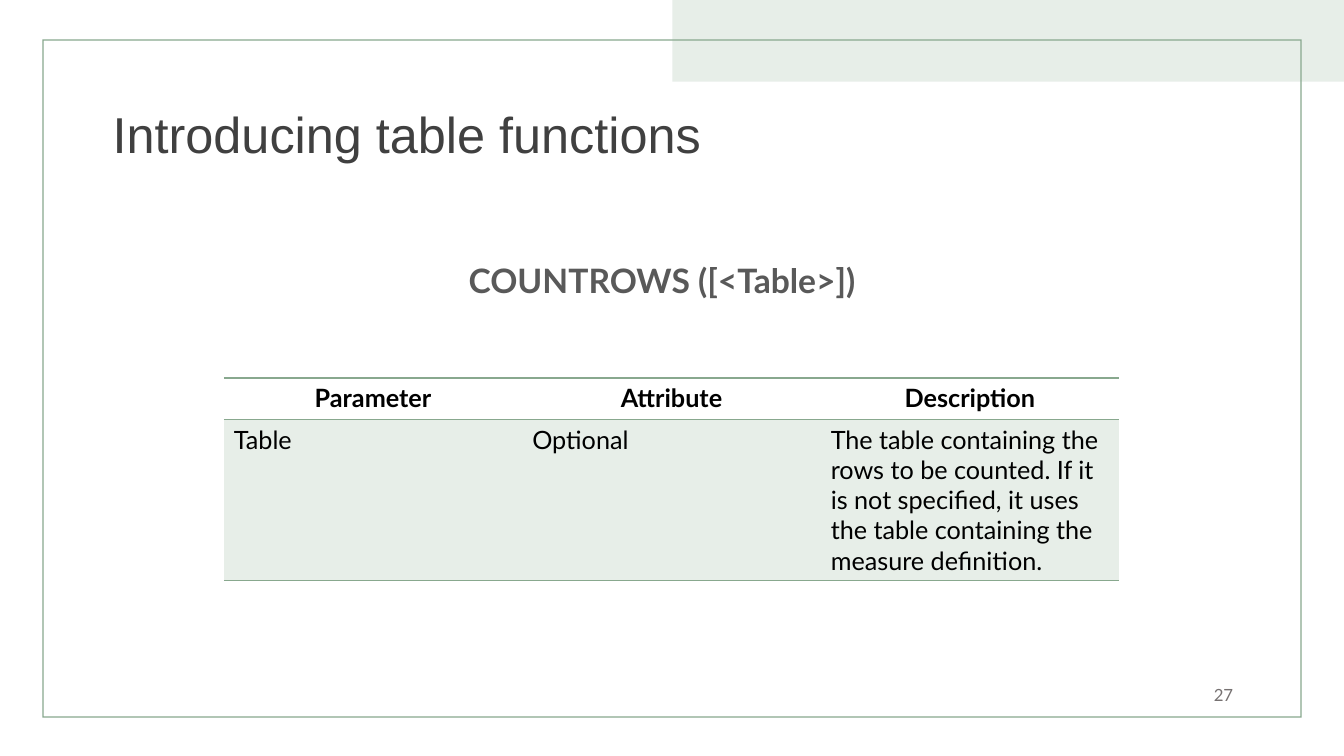
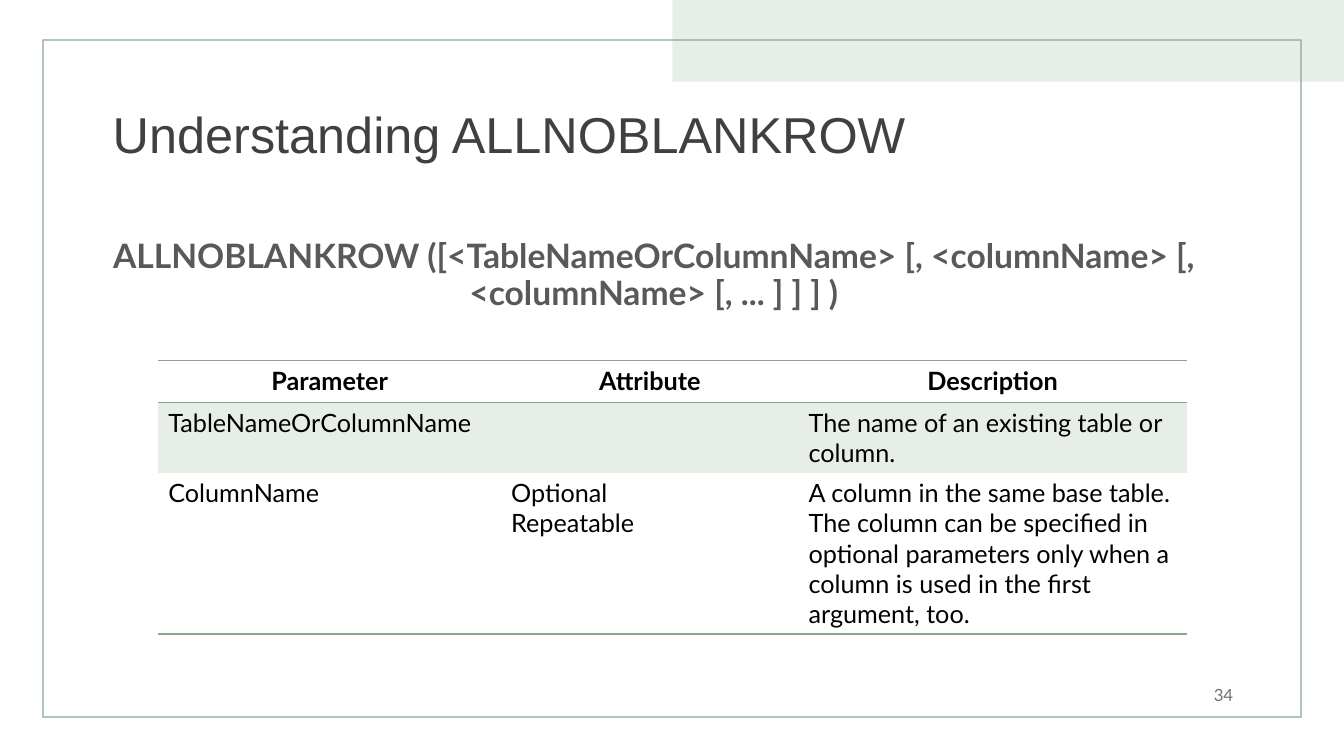
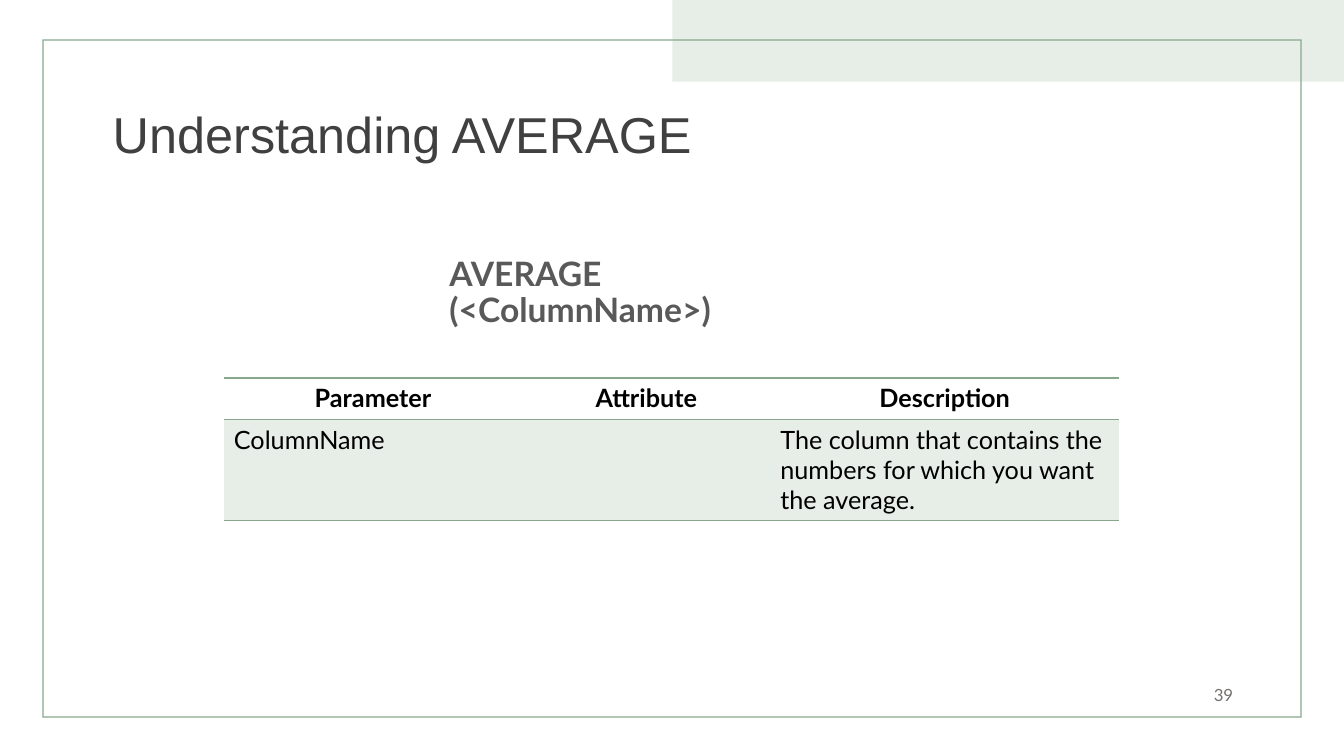
"""Build three slides that introduce DAX functions and their parameters."""

from dataclasses import dataclass

import lxml.etree
import pptx
import pptx.dml.color
import pptx.enum.shapes
import pptx.enum.text
import pptx.oxml.ns
import pptx.presentation
import pptx.shapes.autoshape
import pptx.slide
import pptx.table
import pptx.text.text
import pptx.util

Inches = pptx.util.Inches
RGBColor = pptx.dml.color.RGBColor
Align = pptx.enum.text.PP_ALIGN
Anchor = pptx.enum.text.MSO_ANCHOR
Preset = pptx.enum.shapes.MSO_SHAPE

GREEN = RGBColor(0x88, 0xA8, 0x8E)
PALE_GREEN = RGBColor(0xE7, 0xEE, 0xE8)
TITLE_GREY = RGBColor(0x40, 0x40, 0x40)
SYNTAX_GREY = RGBColor(0x59, 0x59, 0x59)
NUMBER_GREY = RGBColor(0x76, 0x71, 0x71)
BLACK = RGBColor(0, 0, 0)

HEADING_FONT = "Arial"
BODY_FONT = "Lato"
PLAIN_TABLE_STYLE = "{2D5ABB26-0587-4C30-8999-92F81FD0307C}"
HEADER = ("Parameter", "Attribute", "Description")
HEADER_HEIGHT = 0.41


@dataclass(frozen=True)
class Box:
    left: float
    top: float
    width: float
    height: float

    def lengths(self) -> tuple[pptx.util.Length, ...]:
        return tuple(Inches(value) for value in (self.left, self.top, self.width, self.height))


@dataclass(frozen=True)
class Parameter:
    name: str
    attribute: str
    description: str
    height: float


@dataclass(frozen=True)
class FunctionSlide:
    title: str
    number: int
    syntax: str
    syntax_box: Box
    syntax_align: Align
    table_left: float
    table_top: float
    column_widths: tuple[float, ...]
    parameters: tuple[Parameter, ...]


TOP_BAND = Box(6.67, 0, 6.67, 0.81)
FRAME = Box(0.42, 0.39, 12.49, 6.73)
TITLE = Box(1.02, 0.53, 11.5, 1.67)
SLIDE_NUMBER = Box(9.33, 6.69, 3, 0.4)

FUNCTION_SLIDES = (
    FunctionSlide(
        title="Introducing table functions",
        number=27,
        syntax="COUNTROWS ([<Table>])",
        syntax_box=Box(4.55, 2.57, 4.43, 0.48),
        syntax_align=Align.LEFT,
        table_left=2.22,
        table_top=3.75,
        column_widths=(2.96, 2.96, 2.96),
        parameters=(
            Parameter(
                "Table",
                "Optional",
                "The table containing the rows to be counted. If it is not specified, "
                "it uses the table containing the measure definition.",
                1.6,
            ),
        ),
    ),
    FunctionSlide(
        title="Understanding ALLNOBLANKROW",
        number=34,
        syntax="ALLNOBLANKROW ([<TableNameOrColumnName> [, <columnName> [, <columnName> [, ... ] ] ] )",
        syntax_box=Box(0.93, 2.33, 11.11, 0.95),
        syntax_align=Align.CENTER,
        table_left=1.57,
        table_top=3.58,
        column_widths=(3.4, 2.95, 3.85),
        parameters=(
            Parameter("TableNameOrColumnName", "", "The name of an existing table or column.", 0.7),
            Parameter(
                "ColumnName",
                "Optional\nRepeatable",
                "A column in the same base table. The column can be specified in optional "
                "parameters only when a column is used in the first argument, too.",
                1.6,
            ),
        ),
    ),
    FunctionSlide(
        title="Understanding AVERAGE",
        number=39,
        syntax="AVERAGE (<ColumnName>)",
        syntax_box=Box(4.36, 2.5, 4.2, 0.48),
        syntax_align=Align.LEFT,
        table_left=2.22,
        table_top=3.75,
        column_widths=(2.96, 2.46, 3.46),
        parameters=(
            Parameter(
                "ColumnName",
                "",
                "The column that contains the numbers for which you want the average.",
                1.0,
            ),
        ),
    ),
)


def write_text(
    text_frame: pptx.text.text.TextFrame,
    text: str,
    *,
    size: float,
    color: RGBColor,
    font: str = BODY_FONT,
    bold: bool = False,
    align: Align = Align.LEFT,
    line_spacing: float = 1.0,
) -> None:
    text_frame.word_wrap = True
    text_frame.text = text
    for paragraph in text_frame.paragraphs:
        paragraph.alignment = align
        paragraph.line_spacing = line_spacing
        paragraph.font.size = pptx.util.Pt(size)
        for run in paragraph.runs:
            run.font.name = font
            run.font.size = pptx.util.Pt(size)
            run.font.bold = bold
            run.font.color.rgb = color


def add_text(
    slide: pptx.slide.Slide, box: Box, text: str, *, anchor: Anchor = Anchor.MIDDLE, **text_format
) -> None:
    text_frame = slide.shapes.add_textbox(*box.lengths()).text_frame
    text_frame.vertical_anchor = anchor
    write_text(text_frame, text, **text_format)


def add_filled_shape(
    slide: pptx.slide.Slide, preset: Preset, box: Box, color: RGBColor
) -> pptx.shapes.autoshape.Shape:
    shape = slide.shapes.add_shape(preset, *box.lengths())
    shape.shadow.inherit = False
    shape.fill.solid()
    shape.fill.fore_color.rgb = color
    shape.line.fill.background()
    return shape


def add_border(cell: pptx.table._Cell, side: str) -> None:
    qualified = pptx.oxml.ns.qn
    properties = cell._tc.get_or_add_tcPr()
    line = lxml.etree.SubElement(properties, qualified(f"a:{side}"), w=str(pptx.util.Pt(1)))
    fill = lxml.etree.SubElement(line, qualified("a:solidFill"))
    lxml.etree.SubElement(fill, qualified("a:srgbClr"), val=str(GREEN))


def add_parameter_table(slide: pptx.slide.Slide, content: FunctionSlide) -> None:
    rows = [HEADER] + [(item.name, item.attribute, item.description) for item in content.parameters]
    heights = [HEADER_HEIGHT] + [item.height for item in content.parameters]
    box = Box(content.table_left, content.table_top, sum(content.column_widths), sum(heights))
    table = slide.shapes.add_table(len(rows), len(HEADER), *box.lengths()).table
    table.horz_banding = False
    table._tbl.tblPr.find(pptx.oxml.ns.qn("a:tableStyleId")).text = PLAIN_TABLE_STYLE
    for column, width in zip(table.columns, content.column_widths):
        column.width = Inches(width)
    for row_index, (texts, height) in enumerate(zip(rows, heights)):
        table.rows[row_index].height = Inches(height)
        is_header = row_index == 0
        for column_index, text in enumerate(texts):
            cell = table.cell(row_index, column_index)
            if is_header:
                add_border(cell, "lnT")
            if is_header or row_index == len(rows) - 1:
                add_border(cell, "lnB")
            if row_index % 2:
                cell.fill.solid()
                cell.fill.fore_color.rgb = PALE_GREEN
            else:
                cell.fill.background()
            write_text(
                cell.text_frame,
                text,
                size=18,
                color=BLACK,
                bold=is_header,
                align=Align.CENTER if is_header else Align.LEFT,
            )


def add_function_slide(presentation: pptx.presentation.Presentation, content: FunctionSlide) -> None:
    slide = presentation.slides.add_slide(presentation.slide_layouts[6])
    add_filled_shape(slide, Preset.RECTANGLE, TOP_BAND, PALE_GREEN)
    frame = add_filled_shape(slide, Preset.FRAME, FRAME, GREEN)
    frame.adjustments[0] = 0.002
    add_text(
        slide, TITLE, content.title, size=36, color=TITLE_GREY, font=HEADING_FONT, line_spacing=0.9
    )
    add_text(
        slide,
        content.syntax_box,
        content.syntax,
        anchor=Anchor.TOP,
        size=24,
        color=SYNTAX_GREY,
        bold=True,
        align=content.syntax_align,
        line_spacing=0.9,
    )
    add_text(
        slide, SLIDE_NUMBER, str(content.number), size=12, color=NUMBER_GREY, align=Align.RIGHT
    )
    add_parameter_table(slide, content)


def main() -> None:
    presentation = pptx.Presentation()
    presentation.slide_width = Inches(13.33)
    presentation.slide_height = Inches(7.5)
    for content in FUNCTION_SLIDES:
        add_function_slide(presentation, content)
    presentation.save("out.pptx")


if __name__ == "__main__":
    main()
